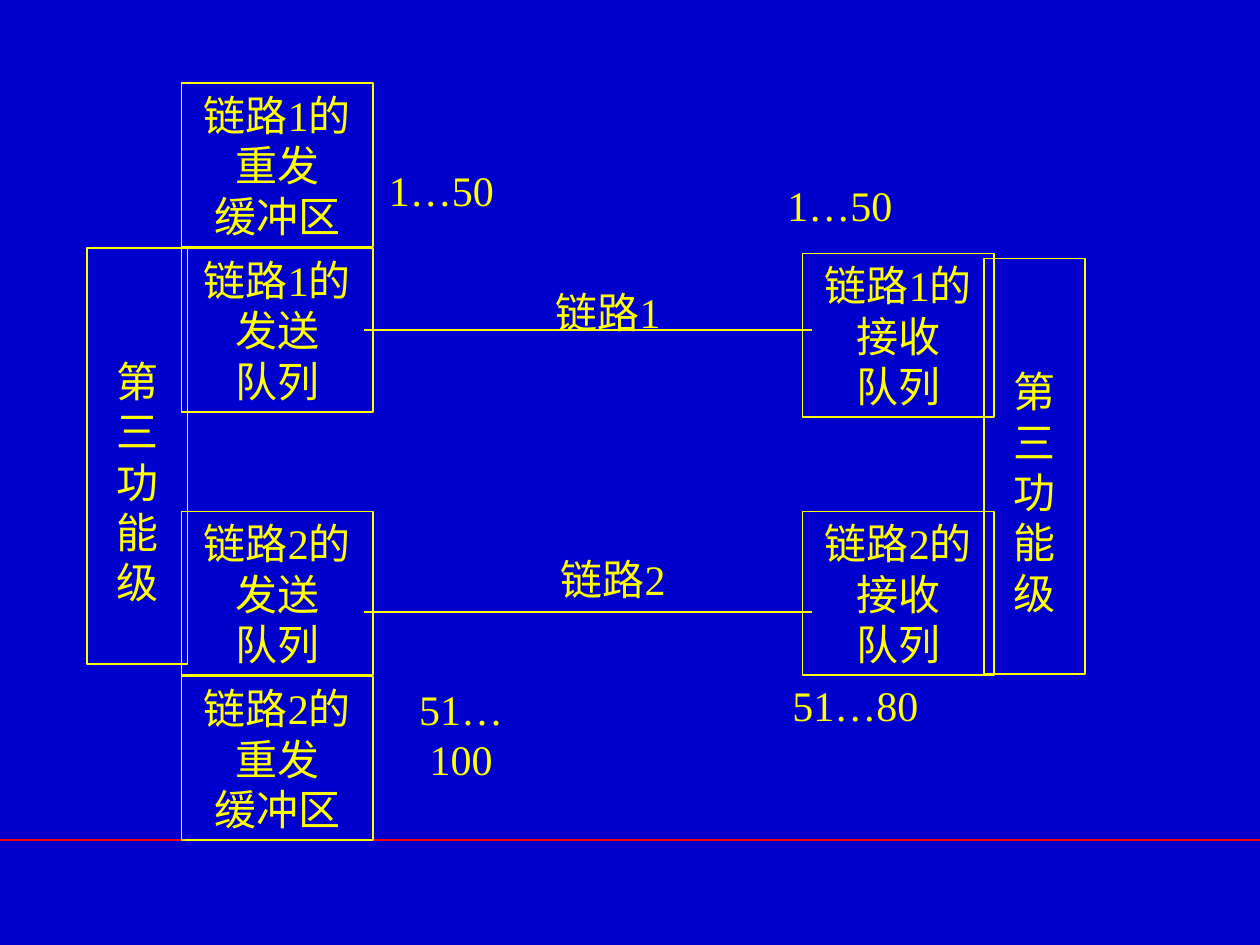
import collections

import pptx
import pptx.dml.color
import pptx.enum.shapes
import pptx.enum.text
import pptx.oxml.ns
import pptx.util
from lxml import etree

Cm = pptx.util.Cm
Box = collections.namedtuple("Box", "left top width height")

BLUE, YELLOW, RED = "0000CC", "FFFF00", "FF0000"
FONT = {"name": "Times New Roman", "size": pptx.util.Pt(24)}
QUEUE_WIDTH, QUEUE_HEIGHT, QUEUE_STEP = 3.86, 3.3, 3.33
LEVEL_WIDTH, LEVEL_HEIGHT = 2.03, 8.38
LABEL_HEIGHT = 1.27


def color(hex_value):
    return pptx.dml.color.RGBColor.from_string(hex_value)


def inside(region, left, top, width, height):
    """Turn a place relative to the region into a place on the page."""
    return Box(region.left + left, region.top + top, width, height)


def write(shape, lines, wrap=False, top_inset=0.13):
    frame = shape.text_frame
    settings = {
        "word_wrap": wrap,
        "vertical_anchor": pptx.enum.text.MSO_ANCHOR.MIDDLE,
        "margin_top": Cm(top_inset),
    }
    for name, value in settings.items():
        setattr(frame, name, value)
    frame.text = "\n".join(lines)
    for para in frame.paragraphs:
        para.alignment = pptx.enum.text.PP_ALIGN.CENTER
        for span in para.runs:
            for name, value in FONT.items():
                setattr(span.font, name, value)
            span.font.color.rgb = color(YELLOW)


def add_frame(page, box):
    shape = page.shapes.add_shape(
        pptx.enum.shapes.MSO_SHAPE.RECTANGLE, *map(Cm, box))
    shape.shadow.inherit = False
    shape.fill.background()
    shape.line.color.rgb = color(YELLOW)
    shape.line.width = pptx.util.Pt(1)
    return shape


def add_queue(page, region, left, top, lines):
    box = inside(region, left, top, QUEUE_WIDTH, QUEUE_HEIGHT)
    write(add_frame(page, box), lines)


def add_level(page, region, left, top):
    """Tall narrow frame whose text wraps to one character a line, set low."""
    box = inside(region, left, top, LEVEL_WIDTH, LEVEL_HEIGHT)
    write(add_frame(page, box), ["第三功能级"], wrap=True, top_inset=1.15)


def add_label(page, region, left, top, width, text):
    box = inside(region, left, top, width, LABEL_HEIGHT)
    write(page.shapes.add_textbox(*map(Cm, box)), [text])


def add_line(page, left, top, width, hex_value):
    line = page.shapes.add_connector(
        pptx.enum.shapes.MSO_CONNECTOR.STRAIGHT,
        Cm(left), Cm(top), Cm(left + width), Cm(top))
    line.line.color.rgb = color(hex_value)
    line.line.width = pptx.util.Pt(1)
    properties = line._element.spPr
    etree.SubElement(properties, pptx.oxml.ns.qn("a:effectLst"))


def add_sender(page, region):
    second_group = 8.64
    queues = [
        (0, 1, ["重发", "缓冲区"]),
        (QUEUE_STEP, 1, ["发送", "队列"]),
        (second_group, 2, ["发送", "队列"]),
        (second_group + QUEUE_STEP, 2, ["重发", "缓冲区"]),
    ]
    for top, link, lines in queues:
        add_queue(page, region, 1.91, top, [f"链路{link}的", *lines])
    add_level(page, region, 0, QUEUE_STEP)
    add_label(page, region, 5.84, 1.51, 2.62, "1…50")
    add_label(page, region, 5.82, 12.48, 3.45, "51…100")


def add_links(page, region):
    links = [(1, 1.01, 3.51, 0), (2, 6.7, 3.61, 5.38)]
    for link, line_top, label_left, label_top in links:
        add_line(page, region.left, region.top + line_top, region.width, YELLOW)
        add_label(page, region, label_left, label_top, 2.82, f"链路{link}")


def add_receiver(page, region):
    for link, top in ((1, 1.63), (2, 6.83)):
        add_queue(page, region, 0.56, top, [f"链路{link}的", "接收", "队列"])
    add_level(page, region, 4.22, 1.73)
    add_label(page, region, 0, 0, 2.62, "1…50")
    add_label(page, region, 0.1, 10.08, 3.05, "51…80")


def main():
    deck = pptx.Presentation()
    deck.slide_width, deck.slide_height = Cm(25.4), Cm(19.05)
    page = deck.slides.add_slide(deck.slide_layouts[6])
    page.background.fill.solid()
    page.background.fill.fore_color.rgb = color(BLUE)

    add_line(page, 0, 16.94, 25.4, RED)
    add_sender(page, Box(1.75, 1.67, 9.27, 15.27))
    add_links(page, Box(7.34, 5.64, 9.02, 6.7))
    add_receiver(page, Box(15.62, 3.48, 6.25, 11.35))
    deck.save("out.pptx")


if __name__ == "__main__":
    main()
